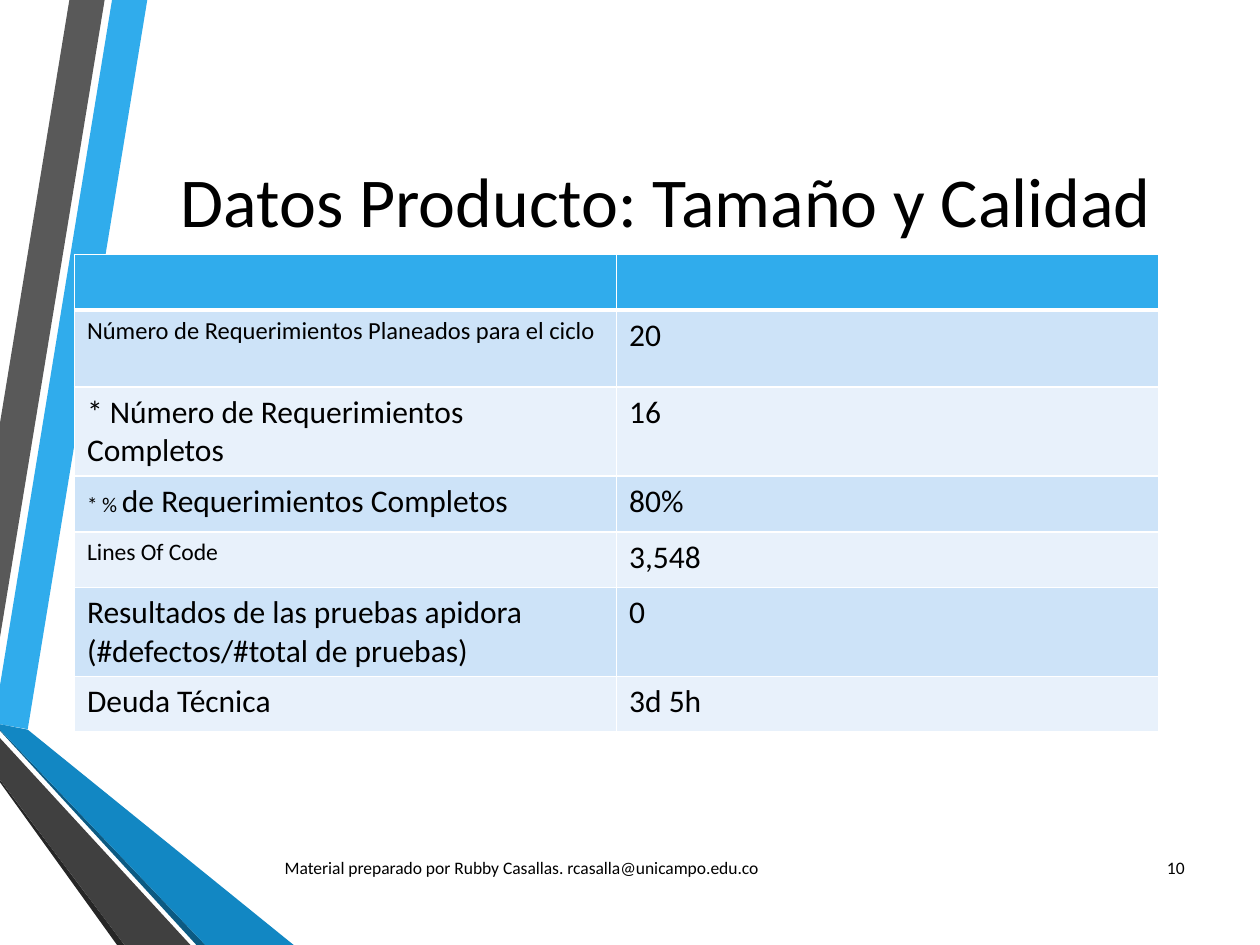
import pptx
import pptx.util
import pptx.dml.color
import pptx.enum.text
import pptx.oxml
import pptx.oxml.ns

Cm, Pt = pptx.util.Cm, pptx.util.Pt
ALIGN = pptx.enum.text.PP_ALIGN
MIDDLE = pptx.enum.text.MSO_ANCHOR.MIDDLE

FONT = "Calibri"
COLORS = {
    "text": "000000", "line": "FFFFFF", "header": "30ACEC",
    "band_dark": "CDE3F8", "band_light": "E8F1FB",
    "sky": "30ACEC", "gray": "595959", "black": "262626",
    "navy": "0C5A82", "blue": "1287C3", "charcoal": "404040",
}

# Content: each label is a list of (text, size) runs
TITLE = "Datos Producto: Tamaño y Calidad"
FOOTER = "Material preparado por Rubby Casallas. rcasalla@unicampo.edu.co"
PAGE = "10"
ROWS = [  # height in cm, label runs, value
    (1.12, [], ""),
    (1.55, [("Número de Requerimientos Planeados para el ciclo", 14)], "20"),
    (1.8, [("* Número de Requerimientos Completos", 18)], "16"),
    (1.12, [("* % ", 12), ("de Requerimientos Completos", 18)], "80%"),
    (1.12, [("Lines Of Code", 13.5)], "3,548"),
    (1.8, [("Resultados de las pruebas apidora (#defectos/#total de pruebas)", 18)], "0"),
    (1.12, [("Deuda Técnica", 18)], "3d 5h"),
]
RIBBONS = [  # colour, corners in cm
    ("sky", [(0, 13.82), (0, 14.6), (0.56, 14.7), (2.97, 0), (2.26, 0)]),
    ("gray", [(2.11, 0), (1.4, 0), (0, 8.53), (0, 12.85)]),
    ("black", [(0, 15.72), (0, 15.77), (2.36, 19.05), (2.51, 19.05)]),
    ("navy", [(0, 14.71), (0, 14.73), (3.96, 19.05), (4.14, 19.05)]),
    ("blue", [(0, 14.71), (4.14, 19.05), (5.92, 19.05), (0.56, 14.71), (0, 14.6)]),
    ("charcoal", [(0, 15.72), (2.51, 19.05), (3.84, 19.05), (0, 14.88)]),
]


def rgb(name):
    return pptx.dml.color.RGBColor.from_string(COLORS[name])


def add_run(p, text, size=18, color="text"):
    r = p.add_run()
    r.text = text
    r.font.name, r.font.size = FONT, Pt(size)
    r.font.color.rgb = rgb(color)


def add_text(s, text, x, y, w, h, size=10, align=ALIGN.LEFT):
    tf = s.shapes.add_textbox(Cm(x), Cm(y), Cm(w), Cm(h)).text_frame
    tf.word_wrap = True
    tf.vertical_anchor = MIDDLE
    p = tf.paragraphs[0]
    p.alignment = align
    add_run(p, text, size=size)


def add_ribbon(s, color, corners):
    points = [(Cm(x), Cm(y)) for x, y in corners]
    builder = s.shapes.build_freeform(*points[0])
    builder.add_line_segments(points[1:], close=True)
    sp = builder.convert_to_shape()
    sp.shadow.inherit = False
    sp.fill.solid()
    sp.fill.fore_color.rgb = rgb(color)
    sp.line.fill.background()


def set_borders(cell, bottom=1, top=1):
    tc_pr = cell._tc.get_or_add_tcPr()
    widths = (("lnL", 1), ("lnR", 1), ("lnT", top), ("lnB", bottom))
    for i, (tag, width) in enumerate(widths):
        tc_pr.insert(i, pptx.oxml.parse_xml(
            f'<a:{tag} {pptx.oxml.ns.nsdecls("a")} w="{Pt(width)}"><a:solidFill>'
            f'<a:srgbClr val="{COLORS["line"]}"/></a:solidFill></a:{tag}>'))


def add_data_table(s, x, y, col_width):
    total = sum(height for height, _, _ in ROWS)
    table = s.shapes.add_table(len(ROWS), 2, Cm(x), Cm(y),
                               Cm(2 * col_width), Cm(total)).table
    for col in table.columns:
        col.width = Cm(col_width)
    for i, (height, label, value) in enumerate(ROWS):
        table.rows[i].height = Cm(height)
        fill = "header" if i == 0 else ("band_light", "band_dark")[i % 2]
        for j, runs in enumerate((label, [(value, 18)] if value else [])):
            cell = table.cell(i, j)
            cell.fill.solid()
            cell.fill.fore_color.rgb = rgb(fill)
            set_borders(cell, bottom=3 if i == 0 else 1, top=3 if i == 1 else 1)
            for text, size in runs:
                add_run(cell.text_frame.paragraphs[0], text, size=size)


def main():
    prs = pptx.Presentation()
    prs.slide_width, prs.slide_height = Cm(25.4), Cm(19.05)
    s = prs.slides.add_slide(prs.slide_layouts[6])

    # Decorative ribbons
    for color, corners in RIBBONS:
        add_ribbon(s, color, corners)

    # Title, footer and page number
    add_text(s, TITLE, 2.72, 1.27, 21.41, 5.51, size=40, align=ALIGN.CENTER)
    add_text(s, FOOTER, 5.49, 16.97, 14.76, 1.02)
    add_text(s, PAGE, 22.94, 16.97, 1.19, 1.02, align=ALIGN.RIGHT)

    # Product data
    add_data_table(s, 1.5, 5.13, 10.93)

    prs.save("out.pptx")


if __name__ == "__main__":
    main()
